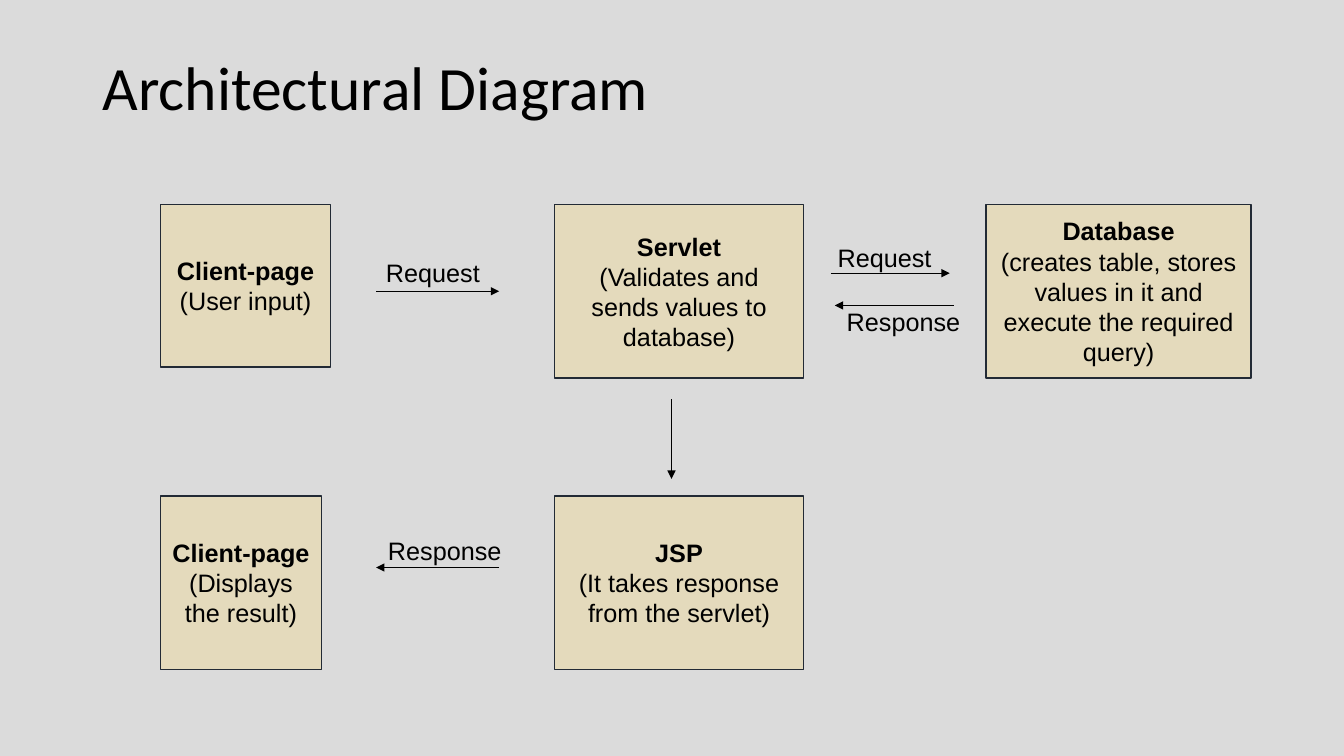
import pptx
import pptx.dml.color
import pptx.enum.shapes
import pptx.enum.text
import pptx.oxml.ns
import pptx.util
from lxml import etree

RGBColor = pptx.dml.color.RGBColor
Inches = pptx.util.Inches
Align = pptx.enum.text.PP_ALIGN
Anchor = pptx.enum.text.MSO_ANCHOR

BACKGROUND = RGBColor(0xDB, 0xDB, 0xDB)
BOX_FILL = RGBColor(0xFF, 0xD9, 0x66)
BOX_LINE = RGBColor(0x22, 0x2A, 0x35)
BLACK = RGBColor(0, 0, 0)
BOX_OPACITY = 26

# Grid: left edges of the three columns, top edges of the two rows
CLIENT, SERVER, STORAGE = 1.59, 5.5, 9.78
UPPER, LOWER = 2.03, 4.92
BOX_HEIGHT = 1.72
SERVER_WIDTH = 2.47
LABEL_HEIGHT = 0.4

TITLE_FONT = {"name": "Calibri", "size": pptx.util.Pt(44), "bold": False}
BODY_FONT = {"name": "Arial", "size": pptx.util.Pt(18), "bold": False}
HEADING_FONT = {**BODY_FONT, "bold": True}

# Column, row, width, height, heading, description
BOXES = [
    (CLIENT, UPPER, 1.69, 1.61, "Client-page", "(User input)"),
    (CLIENT, LOWER, 1.6, BOX_HEIGHT, "Client-page", "(Displays the result)"),
    (SERVER, LOWER, SERVER_WIDTH, BOX_HEIGHT, "JSP", "(It takes response from the servlet)"),
    (STORAGE, UPPER, 2.63, BOX_HEIGHT, "Database",
     "(creates table, stores values in it and execute the required query)"),
    (SERVER, UPPER, SERVER_WIDTH, BOX_HEIGHT, "Servlet",
     "(Validates and sends values to database)"),
]

# Start and end point of each arrow
CLIENT_GAP = (3.73, 4.95)
SERVER_MIDDLE = 6.66
ARROWS = [
    (CLIENT_GAP[0], 2.89, CLIENT_GAP[1], 2.89),
    (8.24, 2.71, 9.42, 2.71),
    (9.46, 3.03, 8.28, 3.03),
    (SERVER_MIDDLE, 3.96, SERVER_MIDDLE, 4.75),
    (CLIENT_GAP[1], 5.63, CLIENT_GAP[0], 5.63),
]

# Left, top, width, text
LABELS = [
    (3.75, 5.26, 1.6, "Response"),
    (3.73, 2.5, 1.85, "Request"),
    (8.21, 2.35, 1.6, "Request"),
    (8.3, 2.99, 1.6, "Response"),
]


def set_attributes(target, values):
    for name, value in values.items():
        setattr(target, name, value)


def add_child(parent, tag, **attributes):
    return etree.SubElement(parent, pptx.oxml.ns.qn(tag), attributes)


def write_paragraph(paragraph, text, font, **paragraph_format):
    set_attributes(paragraph, paragraph_format)
    run = paragraph.add_run()
    run.text = text
    set_attributes(run.font, font)
    run.font.color.rgb = BLACK


def add_text(slide, left, top, width, height, text, font, anchor=Anchor.TOP, **paragraph_format):
    text_box = slide.shapes.add_textbox(*map(Inches, (left, top, width, height)))
    frame = text_box.text_frame
    set_attributes(frame, {"word_wrap": True, "vertical_anchor": anchor})
    write_paragraph(frame.paragraphs[0], text, font, **paragraph_format)


def add_component(slide, left, top, width, height, heading, description):
    """Add a translucent box with a bold heading over its description."""
    box = slide.shapes.add_shape(
        pptx.enum.shapes.MSO_SHAPE.RECTANGLE, *map(Inches, (left, top, width, height)))
    box.shadow.inherit = False
    box.fill.solid()
    box.fill.fore_color.rgb = BOX_FILL
    color = box.fill._xPr.find(".//" + pptx.oxml.ns.qn("a:srgbClr"))
    add_child(color, "a:alpha", val=str(BOX_OPACITY * 1000))
    box.line.color.rgb = BOX_LINE
    box.line.width = pptx.util.Pt(1)
    frame = box.text_frame
    set_attributes(frame, {"word_wrap": True, "vertical_anchor": Anchor.MIDDLE})
    write_paragraph(frame.paragraphs[0], heading, HEADING_FONT, alignment=Align.CENTER)
    write_paragraph(frame.add_paragraph(), description, BODY_FONT, alignment=Align.CENTER)


def add_arrow(slide, *points):
    arrow = slide.shapes.add_connector(
        pptx.enum.shapes.MSO_CONNECTOR.STRAIGHT, *map(Inches, points))
    arrow.line.color.rgb = BLACK
    arrow.line.width = pptx.util.Pt(0.5)
    add_child(arrow.line._get_or_add_ln(), "a:tailEnd", type="triangle")
    add_child(arrow._element.spPr, "a:effectLst")


def main():
    presentation = pptx.Presentation()
    set_attributes(presentation, {"slide_width": Inches(13.33), "slide_height": Inches(7.5)})
    slide = presentation.slides.add_slide(presentation.slide_layouts[6])
    slide.background.fill.solid()
    slide.background.fill.fore_color.rgb = BACKGROUND

    add_text(slide, 0.92, 0.4, 11.5, 0.99, "Architectural Diagram", TITLE_FONT,
             anchor=Anchor.MIDDLE, line_spacing=0.9)
    for box in BOXES:
        add_component(slide, *box)
    for points in ARROWS:
        add_arrow(slide, *points)
    for left, top, width, text in LABELS:
        add_text(slide, left, top, width, LABEL_HEIGHT, text, BODY_FONT)

    presentation.save("out.pptx")


if __name__ == "__main__":
    main()
